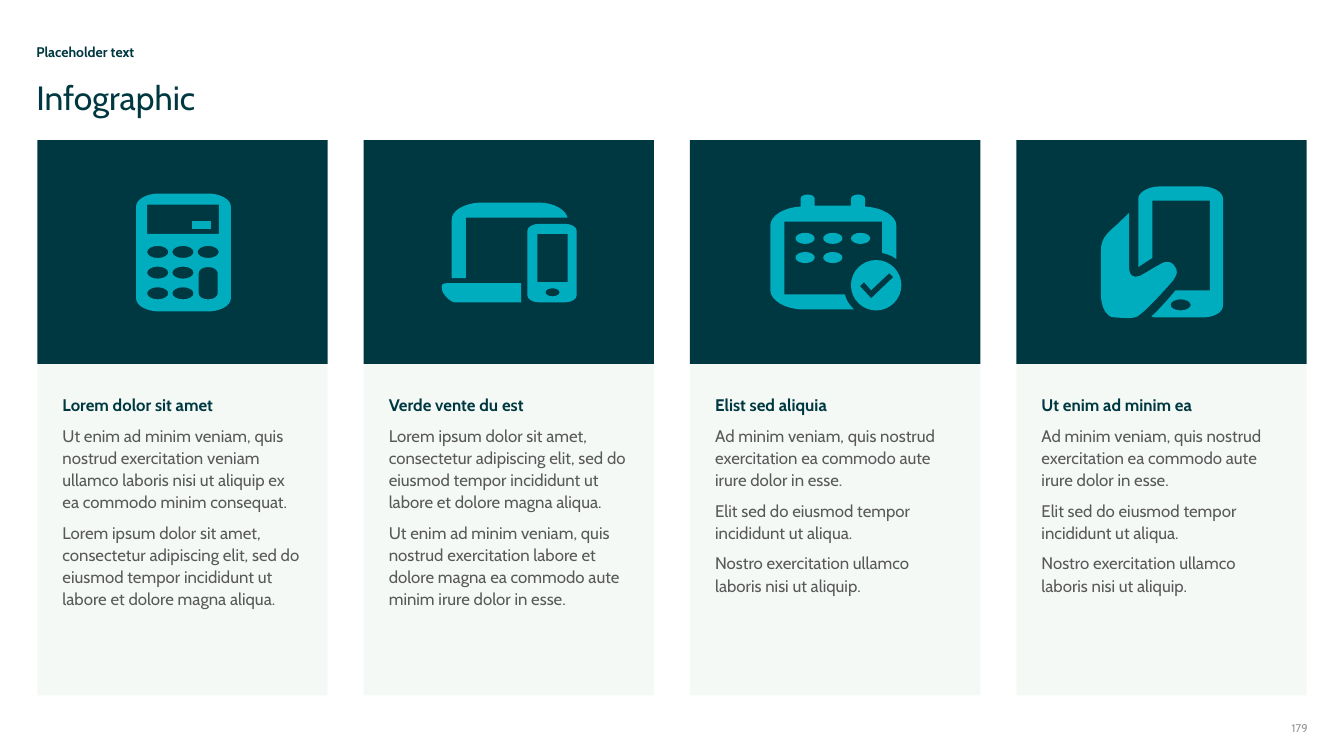
from dataclasses import dataclass

from pptx import Presentation
from pptx.dml.color import RGBColor
from pptx.enum.shapes import MSO_SHAPE
from pptx.enum.text import PP_ALIGN
from pptx.oxml.ns import qn
from pptx.util import Inches, Pt

RECTANGLE = MSO_SHAPE.RECTANGLE
LEFT, RIGHT = PP_ALIGN.LEFT, PP_ALIGN.RIGHT

DARK_TEAL = RGBColor(0x00, 0x38, 0x41)
TURQUOISE = RGBColor(0x00, 0xAD, 0xBF)
PALE_GREEN = RGBColor(0xF5, 0xF9, 0xF6)
TEXT_GRAY = RGBColor(0x59, 0x59, 0x59)
NUMBER_GRAY = RGBColor(0x93, 0x97, 0x93)
FONT = "Cabin"

FIRST_LEFT, LAST_LEFT, CARD_WIDTH = 0.37, 10.08, 2.88
PANEL_TOP, PANEL_HEIGHT = 1.39, 2.22
BODY_TOP, BODY_HEIGHT = 3.61, 3.29
TEXT_INSET, TEXT_TOP, TEXT_WIDTH = 0.25, 3.9, 2.4
ARC_HANDLE = 0.45

Segment = tuple[float, ...]
Contour = list[Segment]
Piece = list[Contour]


@dataclass(frozen=True)
class Line:
    text: str
    size: float
    color: RGBColor
    bold: bool = False


@dataclass(frozen=True)
class Card:
    heading: str
    paragraphs: list[str]
    text_height: float
    icon: list[Piece]


def rectangle(left: float, top: float, width: float, height: float) -> Contour:
    right, bottom = left + width, top + height
    return [(left, top), (right, top), (right, bottom), (left, bottom)]


def rounded(left: float, top: float, width: float, height: float,
            radius_x: float, radius_y: float) -> Contour:
    right, bottom = left + width, top + height
    x, y = radius_x * ARC_HANDLE, radius_y * ARC_HANDLE
    corners = [
        ((right - radius_x, top),
         (right - x, top, right, top + y, right, top + radius_y)),
        ((right, bottom - radius_y),
         (right, bottom - y, right - x, bottom, right - radius_x, bottom)),
        ((left + radius_x, bottom),
         (left + x, bottom, left, bottom - y, left, bottom - radius_y)),
        ((left, top + radius_y),
         (left, top + y, left + x, top, left + radius_x, top)),
    ]
    return [segment for corner in corners for segment in corner]


def ellipse(left: float, top: float, width: float, height: float) -> Contour:
    start, *segments = rounded(left, top, width, height, width / 2, height / 2)
    return [start, *(segment for segment in segments if len(segment) == 6)]


def calculator() -> list[Piece]:
    keys = [
        ellipse(1.46 + 0.25 * column, 2.44 + 0.205 * row, 0.21, 0.12)
        for row in range(3) for column in range(3)
        if column < 2 or row == 0
    ]
    body = rounded(1.35, 1.92, 0.94, 1.17, 0.23, 0.13)
    tall_key = rounded(1.97, 2.65, 0.19, 0.32, 0.09, 0.06)
    display = rectangle(1.46, 2.03, 0.71, 0.29)
    return [[rectangle(1.9, 2.19, 0.19, 0.08)], [body, *keys, tall_key, display]]


def devices() -> list[Piece]:
    keyboard = [
        (4.43, 2.81), (4.42, 2.81, 4.4, 2.81, 4.39, 2.82),
        (4.37, 2.85, 4.38, 2.9, 4.43, 2.95), (4.46, 2.98, 4.49, 3, 4.52, 3),
        (5.17, 3), (5.17, 2.81)]
    screen = [
        (4.62, 2.16), (5.63, 2.16), (5.61, 2.08, 5.49, 2.01, 5.35, 2.01),
        (4.75, 2.01), (4.6, 2.02, 4.48, 2.09, 4.48, 2.18), (4.48, 2.76), (4.62, 2.76)]
    phone = [rounded(5.23, 2.22, 0.49, 0.78, 0.12, 0.07),
             ellipse(5.41, 2.86, 0.14, 0.08), rectangle(5.33, 2.32, 0.3, 0.48)]
    return [[keyboard], [screen], phone]


def calendar() -> list[Piece]:
    frame = [
        (7.78, 2.92), (8.38, 2.92), (8.39, 2.98, 8.43, 3.03, 8.47, 3.07),
        (7.97, 3.07), (7.79, 3.07, 7.64, 2.98, 7.64, 2.88), (7.64, 2.24),
        (7.64, 2.14, 7.77, 2.06, 7.94, 2.05), (7.94, 1.97),
        (7.94, 1.95, 7.97, 1.93, 8.01, 1.93), (8.05, 1.93, 8.08, 1.95, 8.08, 1.97),
        (8.08, 2.04), (8.44, 2.04), (8.44, 1.97),
        (8.44, 1.95, 8.47, 1.93, 8.51, 1.93), (8.55, 1.93, 8.58, 1.95, 8.58, 1.97),
        (8.58, 2.05), (8.75, 2.06, 8.89, 2.14, 8.89, 2.24), (8.89, 2.57),
        (8.85, 2.54, 8.8, 2.52, 8.75, 2.51), (8.75, 2.2), (7.78, 2.2)]
    days = [
        [ellipse(7.89 + 0.275 * column, 2.31 + 0.19 * row, 0.19, 0.11)]
        for row in range(2) for column in range(3 - row)
    ]
    check = [(8.64, 2.96), (8.53, 2.84), (8.57, 2.8),
             (8.64, 2.88), (8.82, 2.71), (8.86, 2.75)]
    return [[frame], *days, [ellipse(8.44, 2.58, 0.5, 0.5), check]]


def hand_with_phone() -> list[Piece]:
    phone = [
        (11.5, 1.85), (11.92, 1.85), (12.04, 1.85, 12.13, 1.91, 12.13, 1.97),
        (12.13, 3.03), (12.13, 3.1, 12.04, 3.15, 11.92, 3.15), (11.5, 3.15),
        (11.48, 3.15, 11.44, 3.15, 11.42, 3.14), (11.52, 3.05, 11.66, 2.88, 11.66, 2.88),
        (12, 2.88), (12, 1.99), (11.43, 1.99), (11.43, 2.56),
        (11.41, 2.57, 11.29, 2.65, 11.29, 2.65),
        (11.29, 1.97), (11.29, 1.91, 11.39, 1.85, 11.5, 1.85)]
    hand = [
        (11.67, 2.68), (11.68, 2.71, 11.66, 2.75, 11.63, 2.79),
        (11.61, 2.81, 11.39, 3.07, 11.28, 3.14), (11.22, 3.17, 11.12, 3.15, 11.05, 3.15),
        (10.98, 3.15, 10.92, 3.05, 10.92, 2.93), (10.92, 2.48),
        (10.92, 2.38, 10.97, 2.33, 11.02, 2.28), (11.08, 2.23, 11.14, 2.17, 11.2, 2.11),
        (11.2, 2.67), (11.2, 2.73, 11.24, 2.76, 11.3, 2.74),
        (11.31, 2.74, 11.47, 2.64, 11.51, 2.62), (11.57, 2.58, 11.64, 2.59, 11.67, 2.68)]
    return [[phone, ellipse(11.61, 2.97, 0.2, 0.11)], [hand]]


SHORT_PARAGRAPHS = [
    "Ad minim veniam, quis nostrud exercitation ea commodo aute irure dolor in esse.",
    "Elit sed do eiusmod tempor incididunt ut aliqua.",
    "Nostro exercitation ullamco laboris nisi ut aliquip.",
]
LOREM = ("Lorem ipsum dolor sit amet, consectetur adipiscing elit, sed do eiusmod "
         "tempor incididunt ut labore et dolore magna aliqua.")
CARDS = [
    Card("Lorem dolor sit amet", [
        "Ut enim ad minim veniam, quis nostrud exercitation veniam ullamco laboris "
        "nisi ut aliquip ex ea commodo minim consequat.", LOREM], 2.24, calculator()),
    Card("Verde vente du est", [
        LOREM, "Ut enim ad minim veniam, quis nostrud exercitation labore et dolore "
        "magna ea commodo aute minim irure dolor in esse."], 2.24, devices()),
    Card("Elist sed aliquia", SHORT_PARAGRAPHS, 2.02, calendar()),
    Card("Ut enim ad minim ea", SHORT_PARAGRAPHS, 2.02, hand_with_phone()),
]


def paint(shape, color: RGBColor) -> None:
    shape.shadow.inherit = False
    shape.fill.solid()
    shape.fill.fore_color.rgb = color
    shape.line.fill.background()


def add_rectangle(slide, left: float, top: float, height: float, color: RGBColor) -> None:
    paint(slide.shapes.add_shape(RECTANGLE, Inches(left), Inches(top),
                                 Inches(CARD_WIDTH), Inches(height)), color)


def bend_curves(shape, piece: Piece) -> None:
    lines = iter(shape._element.xpath(".//a:lnTo"))
    for segment in (segment for contour in piece for segment in contour[1:]):
        line = next(lines)
        if len(segment) == 6:
            line.tag = qn("a:cubicBezTo")
            for extra in (next(lines), next(lines)):
                line.append(extra[0])
                extra.getparent().remove(extra)


def add_icon(slide, icon: list[Piece]) -> None:
    group = slide.shapes.add_group_shape()
    for piece in icon:
        builder = group.shapes.build_freeform(*map(Inches, piece[0][0]))
        for index, contour in enumerate(piece):
            if index:
                builder.move_to(*map(Inches, contour[0]))
            builder.add_line_segments([
                (Inches(segment[i]), Inches(segment[i + 1]))
                for segment in contour[1:] for i in range(0, len(segment), 2)])
        shape = builder.convert_to_shape()
        bend_curves(shape, piece)
        paint(shape, TURQUOISE)


def add_text(slide, left: float, top: float, width: float, height: float,
             lines: list[Line], spacing: float = 0.9, alignment=LEFT) -> None:
    box = slide.shapes.add_textbox(Inches(left), Inches(top), Inches(width), Inches(height))
    frame = box.text_frame
    frame.word_wrap = True
    frame.margin_left = frame.margin_right = frame.margin_top = frame.margin_bottom = 0
    for index, line in enumerate(lines):
        paragraph = frame.add_paragraph() if index else frame.paragraphs[0]
        paragraph.space_before = Pt(6 if index else 0)
        paragraph.line_spacing = spacing
        paragraph.alignment = alignment
        run = paragraph.add_run()
        run.text = line.text
        run.font.name, run.font.size, run.font.bold = FONT, Pt(line.size), line.bold
        run.font.color.rgb = line.color


def main() -> None:
    presentation = Presentation()
    presentation.slide_width, presentation.slide_height = Inches(13.33), Inches(7.5)
    slide = presentation.slides.add_slide(presentation.slide_layouts[6])
    add_text(slide, 0.36, 0.45, 12.61, 0.15, [Line("Placeholder text", 10, DARK_TEAL, True)])
    add_text(slide, 0.36, 0.81, 12.61, 0.37, [Line("Infographic", 24, DARK_TEAL)])
    pitch = (LAST_LEFT - FIRST_LEFT) / (len(CARDS) - 1)
    for index, card in enumerate(CARDS):
        left = FIRST_LEFT + index * pitch
        add_rectangle(slide, left, BODY_TOP, BODY_HEIGHT, PALE_GREEN)
        add_rectangle(slide, left, PANEL_TOP, PANEL_HEIGHT, DARK_TEAL)
        add_icon(slide, card.icon)
        lines = [Line(card.heading, 12, DARK_TEAL, True)]
        lines += [Line(text, 12, TEXT_GRAY) for text in card.paragraphs]
        add_text(slide, left + TEXT_INSET, TEXT_TOP, TEXT_WIDTH, card.text_height, lines, 1.1)
    add_text(slide, 12.22, 7.16, 0.75, 0.15, [Line("179", 8, NUMBER_GRAY)], 1.0, RIGHT)
    presentation.save("out.pptx")


if __name__ == "__main__":
    main()
